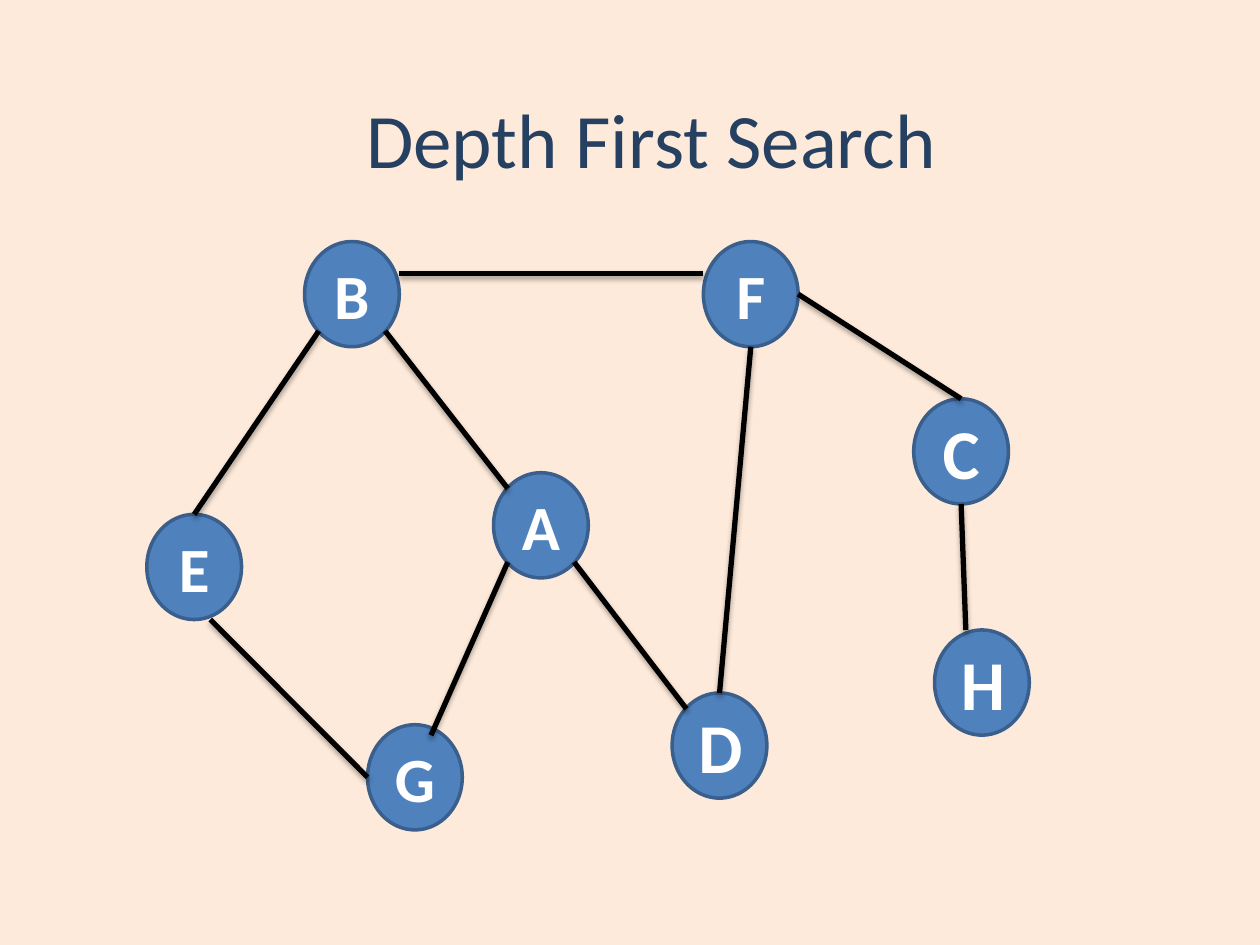
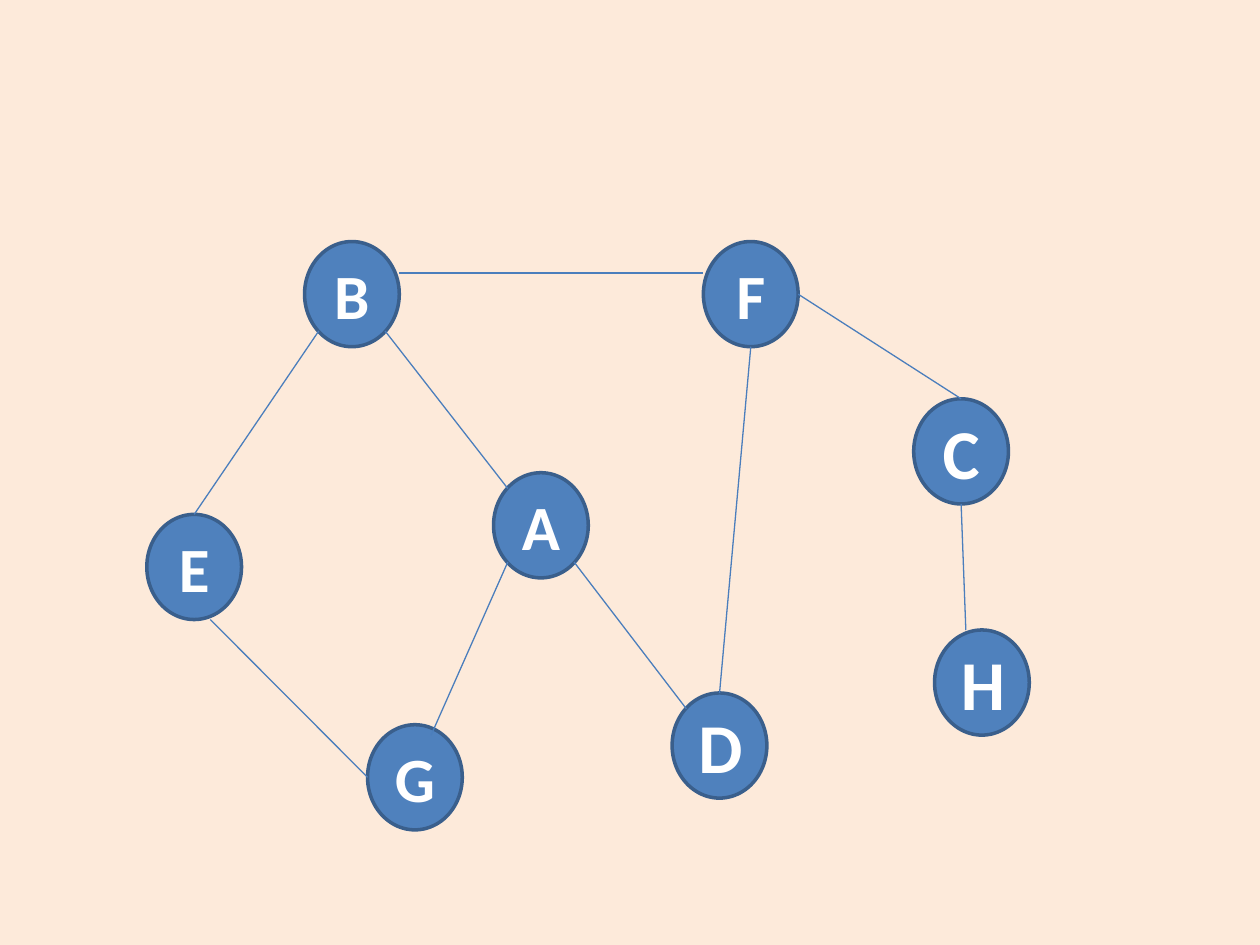
from lxml import etree
from pptx import Presentation
from pptx.dml.color import RGBColor
from pptx.enum.shapes import MSO_CONNECTOR, MSO_SHAPE
from pptx.enum.text import MSO_ANCHOR, PP_ALIGN
from pptx.oxml.ns import qn
from pptx.util import Cm, Pt

CREAM = RGBColor(0xFD, 0xEA, 0xDA)
NAVY = RGBColor(0x25, 0x40, 0x61)
BLUE = RGBColor(0x4F, 0x81, 0xBD)
NODE_BORDER = RGBColor(0x3A, 0x5F, 0x8C)
THIN_EDGE = RGBColor(0x4B, 0x7E, 0xBC)
BLACK = RGBColor(0, 0, 0)
WHITE = RGBColor(255, 255, 255)
FONT = "Calibri"

NODE_W, NODE_H = 1.91, 2.12

# label: (left, top, font size)
NODES = {
    "B": (6.14, 4.87, 36),
    "F": (14.18, 4.87, 36),
    "A": (9.95, 9.53, 36),
    "D": (13.55, 13.97, 40),
    "G": (7.41, 14.61, 36),
    "E": (2.96, 10.37, 36),
    "C": (18.42, 8.04, 40),
    "H": (18.84, 12.7, 40),
}

# Points on a node, as shares of its width and height
TOP, BOTTOM, LEFT, RIGHT = (0.5, 0), (0.5, 1), (0, 0.5), (1, 0.5)
UPPER_LEFT, LOWER_LEFT, LOWER_RIGHT = (0.15, 0.15), (0.15, 0.85), (0.85, 0.85)

EDGES = [
    ("E", TOP, "B", LOWER_LEFT),
    ("E", (0.67, 1), "G", LEFT),
    ("B", LOWER_RIGHT, "A", UPPER_LEFT),
    ("A", LOWER_RIGHT, "D", UPPER_LEFT),
    ("B", (1, 0.3), "F", (0, 0.3)),
    ("F", BOTTOM, "D", TOP),
    ("F", RIGHT, "C", TOP),
    ("C", BOTTOM, "H", (0.33, 0)),
    ("A", LOWER_LEFT, "G", (0.67, 0.1)),
]


def write(sp, text, *, size, color, bold=False):
    """Put one centred line of text in a shape."""
    tf = sp.text_frame
    tf.word_wrap = True
    tf.vertical_anchor = MSO_ANCHOR.MIDDLE
    p = tf.paragraphs[0]
    p.alignment = PP_ALIGN.CENTER
    r = p.add_run()
    r.text = text
    r.font.name = FONT
    r.font.size = Pt(size)
    r.font.bold = bold
    r.font.color.rgb = color


def set_effects(line, shadow):
    """Replace the theme's effects with a soft drop shadow or with none."""
    effects = etree.SubElement(line._element.spPr, qn("a:effectLst"))
    if shadow:
        outer = etree.SubElement(
            effects, qn("a:outerShdw"), blurRad=str(Pt(3.1)), dist=str(Pt(1.8)),
            dir="5400000", rotWithShape="0")
        color = etree.SubElement(outer, qn("a:srgbClr"), val=str(BLACK))
        etree.SubElement(color, qn("a:alpha"), val="35000")


def point_on(label, share):
    left, top, _ = NODES[label]
    return Cm(left + share[0] * NODE_W), Cm(top + share[1] * NODE_H)


class GraphDeck:
    def __init__(self, prs):
        self.prs = prs
        self.slide = None
        fill = prs.slide_master.background.fill
        fill.solid()
        fill.fore_color.rgb = CREAM

    def new_slide(self):
        self.slide = self.prs.slides.add_slide(self.prs.slide_layouts[6])

    def title(self, text):
        sp = self.slide.shapes.add_textbox(Cm(1.7), Cm(1.19), Cm(22.86), Cm(3.18))
        write(sp, text, size=44, color=NAVY)

    def node(self, label):
        left, top, size = NODES[label]
        sp = self.slide.shapes.add_shape(
            MSO_SHAPE.OVAL, Cm(left), Cm(top), Cm(NODE_W), Cm(NODE_H))
        sp.shadow.inherit = False
        sp.fill.solid()
        sp.fill.fore_color.rgb = BLUE
        sp.line.color.rgb = NODE_BORDER
        sp.line.width = Pt(2)
        write(sp, label, size=size, color=WHITE, bold=True)

    def edge(self, start, start_share, end, end_share, *, color, width, shadow):
        line = self.slide.shapes.add_connector(
            MSO_CONNECTOR.STRAIGHT, *point_on(start, start_share), *point_on(end, end_share))
        line.line.color.rgb = color
        line.line.width = Pt(width)
        set_effects(line, shadow)

    def graph(self, *, color, width, shadow=False):
        for label in NODES:
            self.node(label)
        for edge in EDGES:
            self.edge(*edge, color=color, width=width, shadow=shadow)


def main():
    prs = Presentation()
    prs.slide_width, prs.slide_height = Cm(25.4), Cm(19.05)
    deck = GraphDeck(prs)

    deck.new_slide()
    deck.graph(color=BLACK, width=3, shadow=True)
    deck.title("Depth First Search")

    deck.new_slide()
    deck.graph(color=THIN_EDGE, width=0.75)

    prs.save("out.pptx")


if __name__ == "__main__":
    main()
